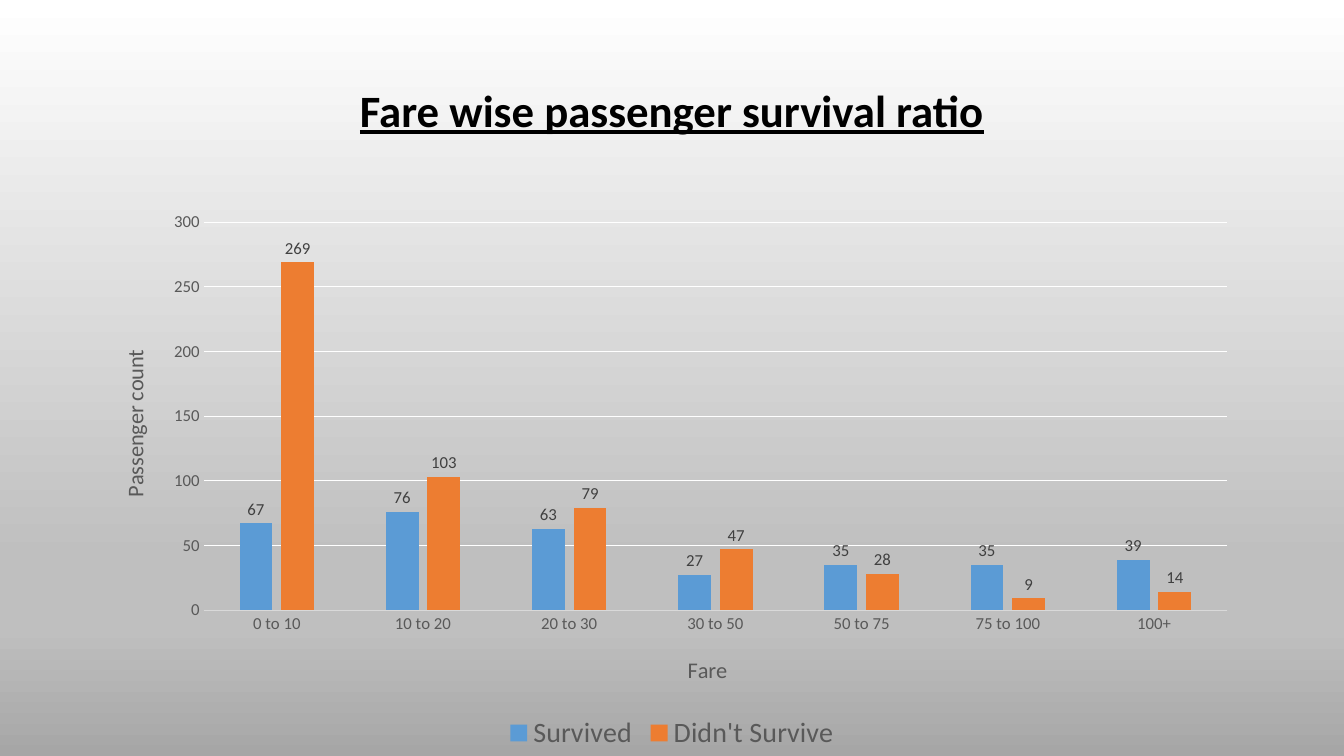
from lxml.etree import SubElement
from pptx import Presentation
from pptx.chart.data import CategoryChartData
from pptx.dml.color import RGBColor
from pptx.enum.chart import XL_CHART_TYPE as ChartType, XL_LABEL_POSITION as LabelPos
from pptx.enum.chart import XL_LEGEND_POSITION as LegendPos, XL_TICK_MARK as TickMark
from pptx.enum.text import MSO_ANCHOR as Anchor, PP_ALIGN as Align
from pptx.oxml.ns import qn
from pptx.util import Cm, Pt

FONT = "Calibri"
BLACK = RGBColor(0x00, 0x00, 0x00)
WHITE = RGBColor(0xFF, 0xFF, 0xFF)
LABEL_GREY = RGBColor(0x40, 0x40, 0x40)
TEXT_GREY = RGBColor(0x59, 0x59, 0x59)
AXIS_GREY = RGBColor(0xD9, 0xD9, 0xD9)
MID_GREY = RGBColor(0xBF, 0xBF, 0xBF)
DARK_GREY = RGBColor(0xA6, 0xA6, 0xA6)
BLUE = RGBColor(0x5B, 0x9B, 0xD5)
ORANGE = RGBColor(0xED, 0x7D, 0x31)

BACKDROP = [(0, WHITE), (74, MID_GREY), (83, MID_GREY), (100, DARK_GREY)]
FARES = ["0 to 10", "10 to 20", "20 to 30", "30 to 50", "50 to 75", "75 to 100", "100+"]
OUTCOMES = [
    ("Survived", BLUE, [67, 76, 63, 27, 35, 35, 39]),
    ("Didn't Survive", ORANGE, [269, 103, 79, 47, 28, 9, 14]),
]


def style_font(font, size, color, bold=False):
    font.name = FONT
    font.size = Pt(size)
    font.bold = bold
    font.color.rgb = color


def set_layout(parent, index, **fractions):
    """Place a chart part by fractions of the chart's width and height."""
    for old in parent.findall(qn("c:layout")):
        parent.remove(old)
    layout = SubElement(parent, qn("c:layout"))
    parent.insert(index, layout)
    manual = SubElement(layout, qn("c:manualLayout"))
    if "w" in fractions:
        SubElement(manual, qn("c:layoutTarget")).set("val", "inner")
    for mode in ("xMode", "yMode"):
        SubElement(manual, qn(f"c:{mode}")).set("val", "edge")
    for key, value in fractions.items():
        SubElement(manual, qn(f"c:{key}")).set("val", str(value))


def paint_background(slide):
    fill = slide.background.fill
    fill.gradient()
    fill.gradient_angle = 270
    stops = next(slide.element.iter(qn("a:gsLst")))
    for stop in list(stops):
        stops.remove(stop)
    for percent, color in BACKDROP:
        stop = SubElement(stops, qn("a:gs"), pos=str(percent * 1000))
        SubElement(stop, qn("a:srgbClr"), val=str(color))


def add_heading(slide, left, top, width, height):
    heading = slide.shapes.title
    heading.left, heading.top, heading.width, heading.height = left, top, width, height
    frame = heading.text_frame
    frame.text = "Fare wise passenger survival ratio"
    frame.vertical_anchor = Anchor.MIDDLE
    line = frame.paragraphs[0]
    line.alignment = Align.CENTER
    line.line_spacing = 0.9
    style_font(line.runs[0].font, 32, BLACK, bold=True)
    line.runs[0].font.underline = True


def style_axis(axis, caption, x, y):
    axis.major_tick_mark = axis.minor_tick_mark = TickMark.NONE
    style_font(axis.tick_labels.font, 12, TEXT_GREY)
    title = axis.axis_title
    title.text_frame.text = caption
    style_font(title.text_frame.paragraphs[0].runs[0].font, 16, TEXT_GREY)
    set_layout(title._element, 1, x=x, y=y)


def add_fare_chart(slide, left, top, width, height):
    data = CategoryChartData()
    data.categories = FARES
    for name, _, counts in OUTCOMES:
        data.add_series(name, counts)
    chart = slide.shapes.add_chart(
        ChartType.COLUMN_CLUSTERED, left, top, width, height, data).chart
    chart.has_title = False
    style_font(chart.font, 10, BLACK)

    # Columns and their values
    plot = chart.plots[0]
    plot.vary_by_categories = False
    plot.gap_width, plot.overlap = 219, -27
    for series, (_, color, _) in zip(plot.series, OUTCOMES):
        series.format.fill.solid()
        series.format.fill.fore_color.rgb = color
        labels = series.data_labels
        labels.show_value = True
        labels.position = LabelPos.OUTSIDE_END
        style_font(labels.font, 12, LABEL_GREY)

    # Axes
    fare_axis, count_axis = chart.category_axis, chart.value_axis
    style_axis(fare_axis, "Fare", 0.51, 0.81)
    style_axis(count_axis, "Passenger count", 0.02, 0.26)
    count_axis.minimum_scale, count_axis.maximum_scale = 0, 300
    count_axis.major_unit = 50
    count_axis.format.line.fill.background()
    for line, color in ((fare_axis.format.line, AXIS_GREY),
                        (count_axis.major_gridlines.format.line, WHITE)):
        line.color.rgb = color
        line.width = Pt(0.75)
    set_layout(chart._chartSpace.chart.plotArea, 0, x=0.096, y=0.037, w=0.883, h=0.7)

    # Legend
    chart.has_legend = True
    chart.legend.position = LegendPos.BOTTOM
    chart.legend.include_in_layout = False
    style_font(chart.legend.font, 20, TEXT_GREY)


def main():
    deck = Presentation()
    deck.slide_width, deck.slide_height = Cm(33.87), Cm(19.05)
    slide = deck.slides.add_slide(deck.slide_layouts[5])
    margin = Cm(2.33)
    content_width = deck.slide_width - 2 * margin
    chart_top = Cm(5.08)
    paint_background(slide)
    add_heading(slide, margin, Cm(1.01), content_width, Cm(3.68))
    add_fare_chart(slide, margin, chart_top, content_width, deck.slide_height - chart_top)
    deck.save("out.pptx")


if __name__ == "__main__":
    main()
